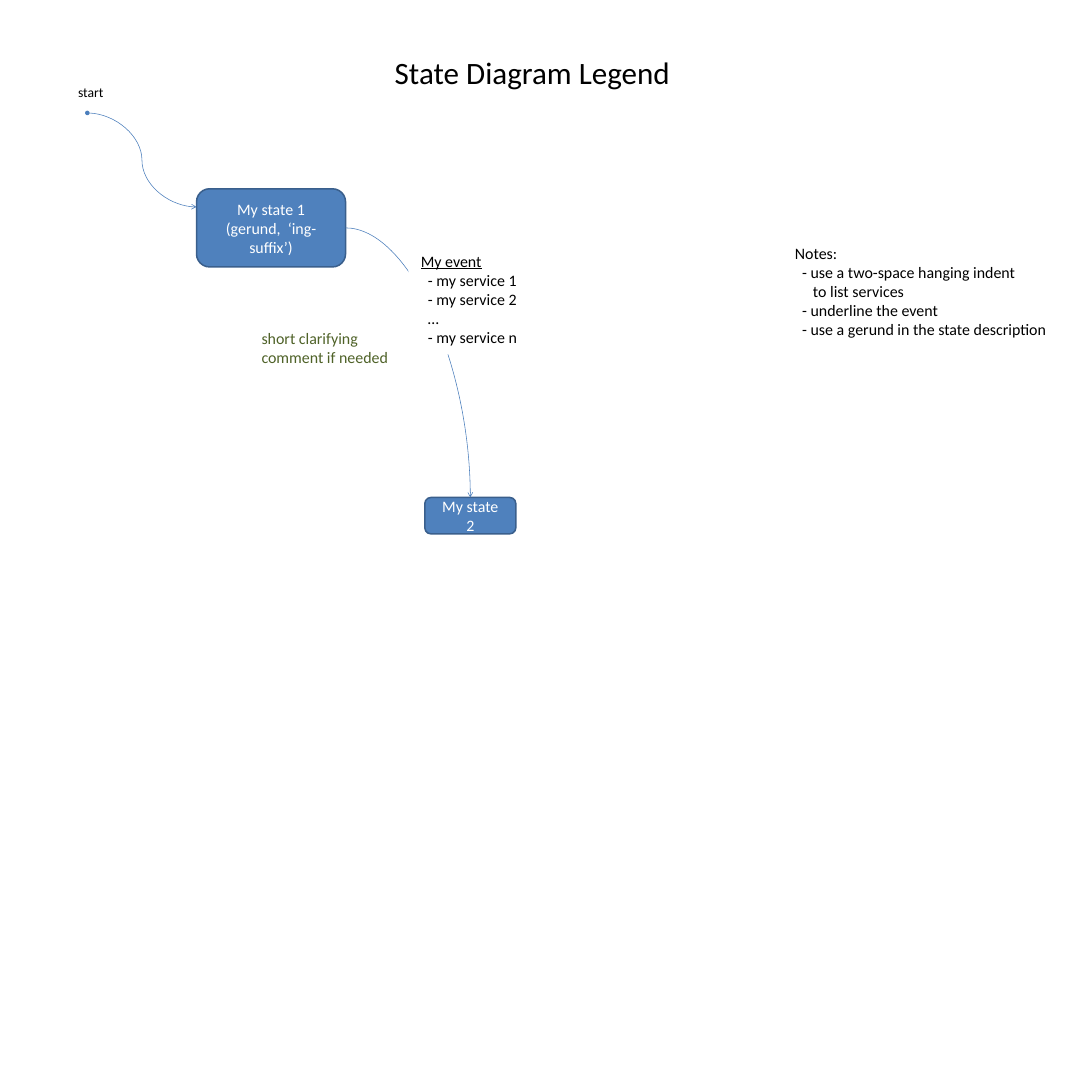
from pptx import Presentation
from pptx.dml.color import RGBColor
from pptx.enum import shapes, text
from pptx.oxml import ns, xmlchemy
from pptx.util import Pt

BLACK = RGBColor(0x00, 0x00, 0x00)
WHITE = RGBColor(0xFF, 0xFF, 0xFF)
BLUE = RGBColor(0x4F, 0x81, 0xBD)
EDGE = RGBColor(0x3A, 0x5F, 0x8C)
CURVE = RGBColor(0x4B, 0x7E, 0xBC)
GREEN = RGBColor(0x4F, 0x62, 0x28)
FONT = "Calibri"
STEP, HANG = 9.5, 23.75


def add_tag(parent, tag, **attrs):
    node = xmlchemy.OxmlElement(tag)
    for key, val in attrs.items():
        node.set(key, val)
    parent.append(node)


def place(shape, box):
    shape.left, shape.top, shape.width, shape.height = map(Pt, box)


def write(shape, lines, size=21, color=BLACK, align=text.PP_ALIGN.LEFT,
          anchor=text.MSO_ANCHOR.TOP, wrap=False, grow=True):
    """Fill a shape with lines of (text, indent, underline)."""
    frame = shape.text_frame
    frame.word_wrap = wrap
    frame.auto_size = (text.MSO_AUTO_SIZE.SHAPE_TO_FIT_TEXT if grow
                       else text.MSO_AUTO_SIZE.NONE)
    frame.vertical_anchor = anchor
    frame.margin_left = frame.margin_right = Pt(16.5)
    frame.margin_top = frame.margin_bottom = Pt(8)
    for num, (words, indent, under) in enumerate(lines):
        para = frame.add_paragraph() if num else frame.paragraphs[0]
        para.alignment = align
        para.space_before = Pt(0)
        props = para._p.get_or_add_pPr()
        props.set("marL", str(Pt(indent)))
        props.set("indent", "0")
        add_tag(props, "a:buNone")
        run = para.add_run()
        run.text = words
        font = run.font
        font.name, font.size, font.underline = FONT, Pt(size), under
        font.color.rgb = color


def add_title(slide, box):
    title = slide.shapes.title
    place(title, box)
    write(title, [("State Diagram Legend", 0, False)], size=41)


def add_notes(slide, box):
    notes = slide.placeholders[1]
    place(notes, box)
    notes.fill.solid()
    notes.fill.fore_color.rgb = WHITE
    write(notes, [("Notes:", 0, False),
                  ("- use a two-space hanging indent", STEP, False),
                  ("to list services", HANG, False),
                  ("- underline the event", STEP, False),
                  ("- use a gerund in the state description", STEP, False)])


def add_label(slide, box, lines, fill=WHITE, **style):
    label = slide.shapes.add_textbox(*map(Pt, box))
    if fill is not None:
        label.fill.solid()
        label.fill.fore_color.rgb = fill
    write(label, lines, **style)


def add_state(slide, box, *lines):
    state = slide.shapes.add_shape(shapes.MSO_SHAPE.ROUNDED_RECTANGLE,
                                   *map(Pt, box))
    state.shadow.inherit = False
    state.fill.solid()
    state.fill.fore_color.rgb = BLUE
    state.line.color.rgb = EDGE
    state.line.width = Pt(2)
    write(state, [(line, 0, False) for line in lines], color=WHITE,
          align=text.PP_ALIGN.CENTER, anchor=text.MSO_ANCHOR.MIDDLE,
          wrap=True, grow=False)
    return state


def add_curve(slide, start, end, head=None, bend=False):
    """Draw a curved arrow; bend gives a single quarter turn."""
    curve = slide.shapes.add_connector(shapes.MSO_CONNECTOR.CURVE,
                                       *map(Pt, start + end))
    curve.line.color.rgb = CURVE
    curve.line.width = Pt(0.75)
    line = curve.line._get_or_add_ln()
    if head:
        add_tag(line, "a:headEnd", type=head)
    add_tag(line, "a:tailEnd", type="arrow")
    props = curve._element.spPr
    add_tag(props, "a:effectLst")
    if bend:
        props.find(ns.qn("a:prstGeom")).set("prst", "curvedConnector2")
    return curve


def add_flow(slide, box):
    """Lay out the states, their event and the arrows inside box."""
    left, top = box[:2]

    def at(x, y, *size):
        return (left + x, top + y) + size

    add_label(slide, at(0, 0, 67, 38), [("start", 0, False)],
              fill=None, size=18)
    add_curve(slide, at(28.8, 46), at(172.8, 170), head="oval")
    first = add_state(slide, at(172.8, 146, 196.5, 103),
                      "My state 1", "(gerund,  ‘ing-suffix’)")
    second = add_state(slide, at(473.8, 553, 120, 48), "My state 2")
    link = add_curve(slide, at(369.3, 197.5), at(533.8, 553), bend=True)
    link.begin_connect(first, 3)
    link.end_connect(second, 0)
    add_label(slide, at(452, 220.3, 161.3, 144),
              [("My event", 0, True),
               ("- my service 1", STEP, False),
               ("- my service 2", STEP, False),
               ("…", STEP, False),
               ("- my service n", STEP, False)])
    add_label(slide, at(242, 322, 210, 67.7),
              [("short clarifying comment if needed", 0, False)],
              color=GREEN, wrap=True)


def main():
    deck = Presentation()
    deck.slide_width = deck.slide_height = Pt(1440)
    slide = deck.slides.add_slide(deck.slide_layouts[1])
    add_title(slide, (504, 62.6, 399.6, 66.2))
    add_flow(slide, (86.4, 103, 613.3, 601))
    add_notes(slide, (1031.8, 313.2, 368, 144))
    deck.save("out.pptx")


if __name__ == "__main__":
    main()
